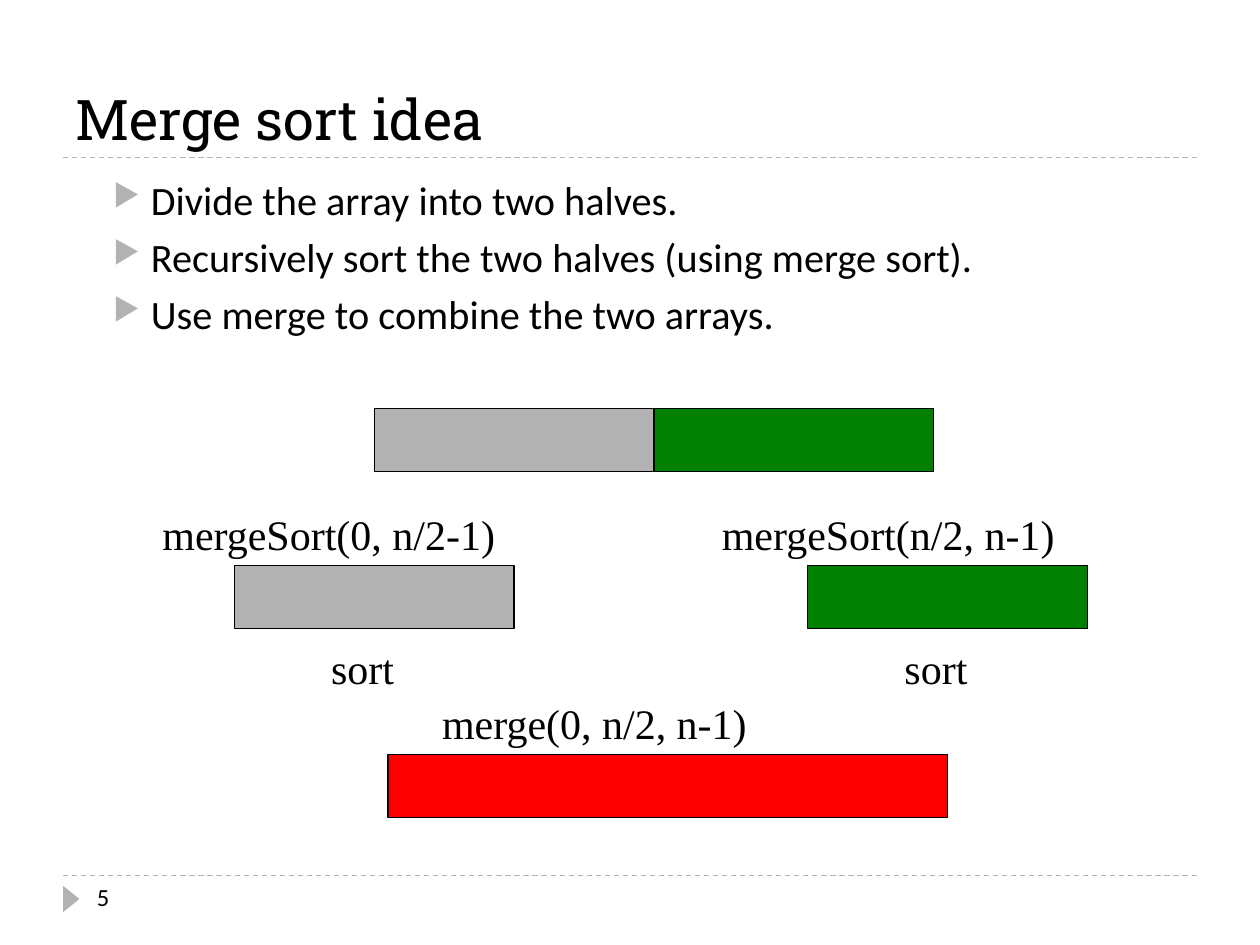
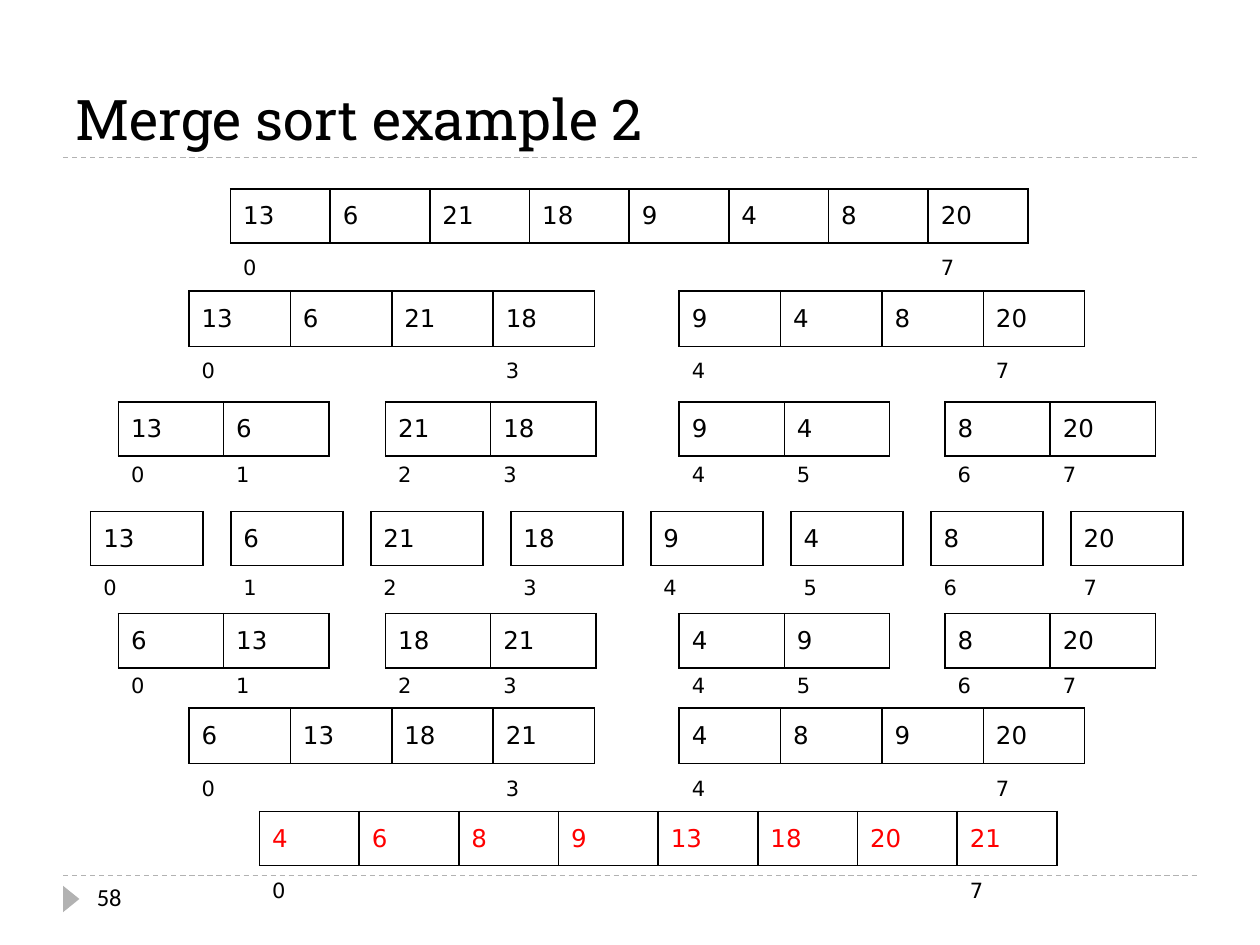
import pptx
import pptx.dml.color
import pptx.enum.dml
import pptx.enum.shapes
import pptx.enum.text
import pptx.oxml
import pptx.oxml.ns
import pptx.util
from lxml import etree

Inches = pptx.util.Inches
Pt = pptx.util.Pt
qn = pptx.oxml.ns.qn
Anchor = pptx.enum.text.MSO_ANCHOR
Preset = pptx.enum.shapes.MSO_SHAPE

BLACK, GRAY, GREEN, RED = "000000", "B2B2B2", "008000", "FF0000"
TITLE = {"name": "Roboto Slab", "size": Pt(32)}
NUMBER = {"name": "Calibri", "size": Pt(14)}
BODY = {"name": "Calibri", "size": Pt(23)}
CALL = {"name": "Times New Roman", "size": Pt(24)}
VALUE = {"name": "DejaVu Sans", "size": Pt(14)}
INDEX = {"name": "DejaVu Sans", "size": Pt(12)}


def rgb(value):
    return pptx.dml.color.RGBColor.from_string(value)


class SlideBuilder:
    def __init__(self):
        self.deck = pptx.Presentation()
        self.deck.slide_width = Inches(10)
        self.deck.slide_height = Inches(7.5)
        self.page = None

    def start(self, title, number):
        self.page = self.deck.slides.add_slide(self.deck.slide_layouts[6])
        for y in (6.95, 1.25):
            self.rule(y)
        marker = self.shape(Preset.ISOSCELES_TRIANGLE, 0.46, 7.07, 0.21, 0.13, GRAY)
        marker.rotation = 90
        self.text(title, 0.5, 0.17, 9, 1.08, TITLE, anchor=Anchor.BOTTOM)
        self.text(str(number), 0.67, 6.95, 2.17, 0.4, NUMBER)

    def rule(self, y):
        line = self.page.shapes.add_connector(
            pptx.enum.shapes.MSO_CONNECTOR.STRAIGHT,
            Inches(0.5), Inches(y), Inches(9.5), Inches(y))
        line.line.color.rgb = rgb(GRAY)
        line.line.width = Pt(0.75)
        line.line.dash_style = pptx.enum.dml.MSO_LINE.DASH
        etree.SubElement(line._element.spPr, qn("a:effectLst"))

    def shape(self, preset, left, top, width, height, fill, outline=None):
        shape = self.page.shapes.add_shape(
            preset, Inches(left), Inches(top), Inches(width), Inches(height))
        shape.shadow.inherit = False
        shape.fill.solid()
        shape.fill.fore_color.rgb = rgb(fill)
        if outline:
            shape.line.color.rgb = rgb(outline)
            shape.line.width = Pt(0.75)
        else:
            shape.line.fill.background()
        return shape

    def bar(self, left, top, width, fill):
        self.shape(Preset.RECTANGLE, left, top, width, 0.5, fill, BLACK)

    def span(self, para, text, style, color=BLACK):
        span = para.add_run()
        span.text = text
        for name, value in style.items():
            setattr(span.font, name, value)
        span.font.color.rgb = rgb(color)

    def text(self, text, left, top, width, height, style, anchor=Anchor.TOP, wrap=True):
        box = self.page.shapes.add_textbox(
            Inches(left), Inches(top), Inches(width), Inches(height))
        frame = box.text_frame
        frame.word_wrap = wrap
        frame.vertical_anchor = anchor
        self.span(frame.paragraphs[0], text, style)
        return frame

    def bullets(self, lines, left, top, width, height):
        frame = self.text(lines[0], left, top, width, height, BODY)
        for line in lines[1:]:
            para = frame.add_paragraph()
            self.span(para, line, BODY)
            para.space_before = Pt(5)
        for para in frame.paragraphs:
            props = para._p.get_or_add_pPr()
            props.set("marL", str(Inches(0.6)))
            props.set("indent", str(Inches(-0.3)))
            color = etree.SubElement(props, qn("a:buClr"))
            etree.SubElement(color, qn("a:srgbClr"), val=GRAY)
            etree.SubElement(props, qn("a:buSzPct"), val="76000")
            etree.SubElement(props, qn("a:buChar"), char="▶")

    def borders(self, cell, visible):
        props = cell._tc.get_or_add_tcPr()
        for position, side in enumerate("LRTB"):
            edge = etree.Element(qn(f"a:ln{side}"), w=str(Pt(1)))
            if side in visible:
                fill = etree.SubElement(edge, qn("a:solidFill"))
                etree.SubElement(fill, qn("a:srgbClr"), val=BLACK)
            else:
                etree.SubElement(edge, qn("a:noFill"))
            props.insert(position, edge)

    def array(self, values, first, left, top, width, heights, color):
        count = len(values)
        table = self.page.shapes.add_table(
            2, count, Inches(left), Inches(top),
            Inches(width), Inches(sum(heights))).table
        table.first_row = table.horz_banding = False
        for row, height in zip(table.rows, heights):
            row.height = Inches(height)
        for column, value in enumerate(values):
            table.columns[column].width = Inches(width / count)
            ends = column in (0, count - 1)
            index = str(first + column) if ends else ""
            entries = ((str(value), VALUE, color, "LRTB"), (index, INDEX, BLACK, "T"))
            for row, (text, style, ink, visible) in enumerate(entries):
                cell = table.cell(row, column)
                cell.vertical_anchor = Anchor.MIDDLE
                cell.fill.background()
                self.borders(cell, visible)
                self.span(cell.text_frame.paragraphs[0], text, style, ink)


def merge_sort_idea(slide):
    slide.start("Merge sort idea", 5)
    slide.bullets([
        "Divide the array into two halves.",
        "Recursively sort the two halves (using merge sort).",
        "Use merge to combine the two arrays.",
    ], 0.5, 1.34, 9, 5.4)
    half = 2.22
    halves = (
        (GRAY, 1.86, "mergeSort(0, n/2-1)", 1.19),
        (GREEN, 6.41, "mergeSort(n/2, n-1)", 5.63),
    )
    for position, (color, left, call, call_left) in enumerate(halves):
        slide.bar(2.97 + position * half, 3.24, half, color)
        slide.bar(left, 4.49, half, color)
        slide.text(call, call_left, 3.99, 2.85, 0.5, CALL, wrap=False)
        slide.text("sort", left + 0.67, 5.05, 0.94, 0.48, CALL, wrap=False)
    slide.bar(3.08, 5.99, 2 * half, RED)
    slide.text("merge(0, n/2, n-1)", 3.41, 5.49, 2.62, 0.5, CALL, wrap=False)


def merge_sort_example(slide):
    slide.start("Merge sort example 2", 58)
    numbers = [13, 6, 21, 18, 9, 4, 8, 20]
    quarters = [0.94, 3.06, 5.39, 7.5]
    halves = [1.5, 5.39]
    singles = [0.72 + place * 7.78 / 7 for place in range(8)]
    short, medium, tall = (0.43, 0.29), (0.44, 0.33), (0.43, 0.35)
    levels = (
        (1.5, [1.83], 6.33, short, False, BLACK),
        (2.31, halves, 3.22, medium, False, BLACK),
        (3.19, quarters, 1.67, short, False, BLACK),
        (4.06, singles, 0.89, tall, False, BLACK),
        (4.87, quarters, 1.67, short, True, BLACK),
        (5.62, halves, 3.22, medium, True, BLACK),
        (6.44, [2.06], 6.33, short, True, RED),
    )
    for top, lefts, width, heights, merged, color in levels:
        size = len(numbers) // len(lefts)
        for part, left in enumerate(lefts):
            first = part * size
            values = numbers[first:first + size]
            if merged:
                values = sorted(values)
            slide.array(values, first, left, top, width, heights, color)


def main():
    slide = SlideBuilder()
    merge_sort_idea(slide)
    merge_sort_example(slide)
    slide.deck.save("out.pptx")


if __name__ == "__main__":
    main()
